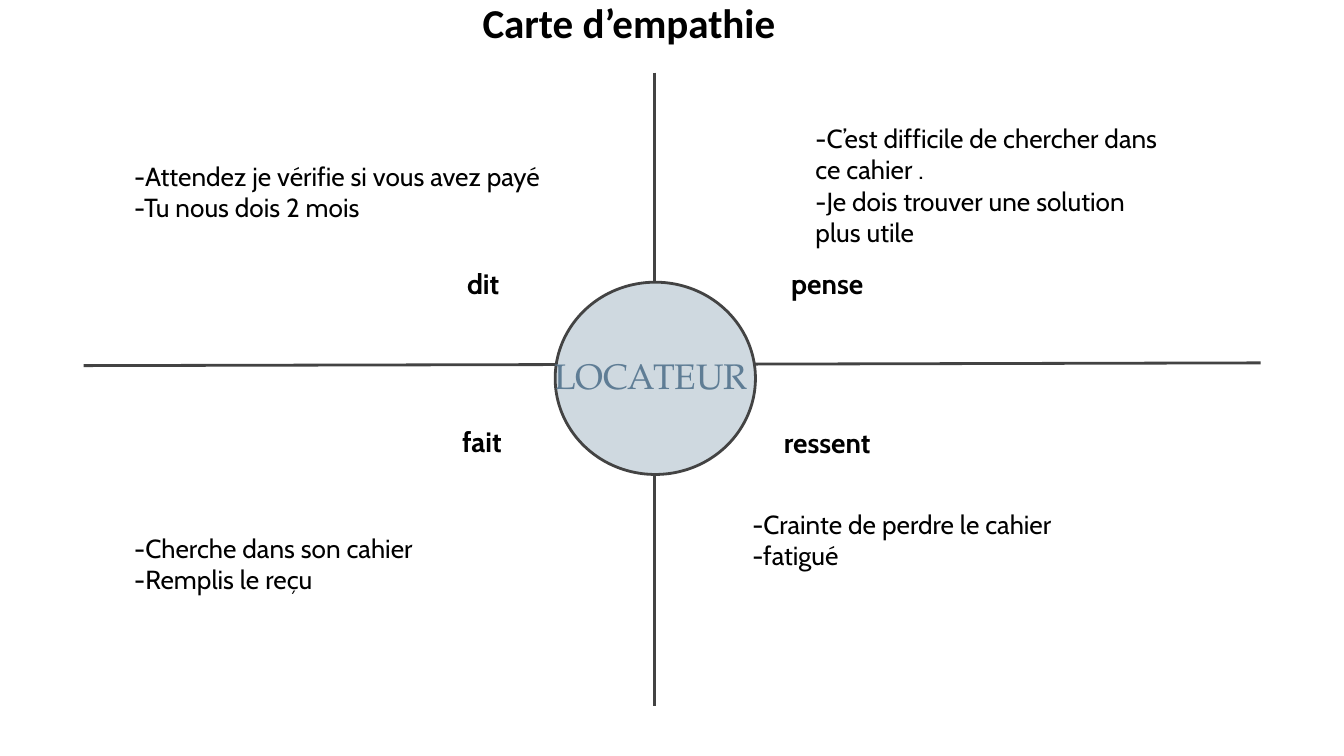
from dataclasses import dataclass

from lxml import etree
from pptx import Presentation
from pptx.dml.color import RGBColor
from pptx.enum.shapes import MSO_CONNECTOR as CONN, MSO_SHAPE as SHAPE
from pptx.enum.text import MSO_ANCHOR as ANCHOR, MSO_AUTO_SIZE as AUTO, PP_ALIGN as ALIGN
from pptx.oxml.ns import qn
from pptx.util import Pt


@dataclass(frozen=True)
class Theme:
    ink: RGBColor = RGBColor(0x00, 0x00, 0x00)
    line: RGBColor = RGBColor(0x43, 0x43, 0x43)
    disc: RGBColor = RGBColor(0xCF, 0xD9, 0xE0)
    persona: RGBColor = RGBColor(0x5F, 0x7D, 0x95)
    title_font: str = "Calibri"
    body_font: str = "Cabin"
    persona_font: str = "TeX Gyre Pagella"
    title_size: int = 22
    persona_size: int = 19
    label_size: int = 15
    note_size: int = 14
    line_width: float = 1.5


theme = Theme()


def write(sp, box, lines, font, size, color=theme.ink, bold=False, align=ALIGN.LEFT):
    sp.left, sp.top, sp.width, sp.height = [Pt(v) for v in box]
    tf = sp.text_frame
    tf.word_wrap = True
    tf.auto_size = AUTO.NONE
    tf.vertical_anchor = ANCHOR.TOP
    tf.margin_left = tf.margin_right = tf.margin_top = tf.margin_bottom = Pt(7.2)
    tf.text = "\n".join(lines)
    for p in tf.paragraphs:
        p.alignment = align
        for r in p.runs:
            r.font.name = font
            r.font.size = Pt(size)
            r.font.bold = bold
            r.font.color.rgb = color


prs = Presentation()
prs.slide_width, prs.slide_height = Pt(720), Pt(405)
s = prs.slides.add_slide(prs.slide_layouts[5])

write(s.shapes.title, (251.3, -8.6, 217.4, 41), ["Carte d’empathie"],
      theme.title_font, theme.title_size, bold=True)

center_x, center_y = 350.8, 195.2
axes = [
    (675.4, 194.4, center_x, center_y),
    (center_x, center_y, 44.8, 195.9),
    (center_x, 38.9, center_x, 378),
]
for ends in axes:
    axis = s.shapes.add_connector(CONN.STRAIGHT, *[Pt(v) for v in ends])
    axis.line.color.rgb = theme.line
    axis.line.width = Pt(theme.line_width)
    etree.SubElement(axis.element.spPr, qn("a:effectLst"))

disc = s.shapes.add_shape(SHAPE.OVAL, Pt(297.4), Pt(151.2), Pt(107.3), Pt(103))
disc.shadow.inherit = False
disc.fill.solid()
disc.fill.fore_color.rgb = theme.disc
disc.line.color.rgb = theme.line
disc.line.width = Pt(theme.line_width)

write(s.shapes.add_textbox(0, 0, 0, 0), (280.1, 182.2, 137.5, 37.4), ["LOCATEUR"],
      theme.persona_font, theme.persona_size, theme.persona, align=ALIGN.CENTER)

quadrants = [
    ("dit", (205.2, 135.4), (64.8, 78.5, 247, 48.2),
     ["-Attendez je vérifie si vous avez payé", "-Tu nous dois 2 mois"]),
    ("pense", (389.5, 135.4), (429.8, 58.3, 203.8, 82.1),
     ["-C’est difficile de chercher dans ce cahier .",
      "-Je dois trouver une solution plus utile"]),
    ("ressent", (389.5, 220.8), (396, 265, 247, 48.2),
     ["-Crainte de perdre le cahier", "-fatigué"]),
    ("fait", (204.5, 220.3), (64.8, 277.9, 183.6, 48.2),
     ["-Cherche dans son cahier", "-Remplis le reçu"]),
]
for label, corner, note_box, notes in quadrants:
    write(s.shapes.add_textbox(0, 0, 0, 0), (*corner, 107.3, 32.4), [label],
          theme.body_font, theme.label_size, bold=True, align=ALIGN.CENTER)
    write(s.shapes.add_textbox(0, 0, 0, 0), note_box, notes,
          theme.body_font, theme.note_size)

prs.save("out.pptx")
